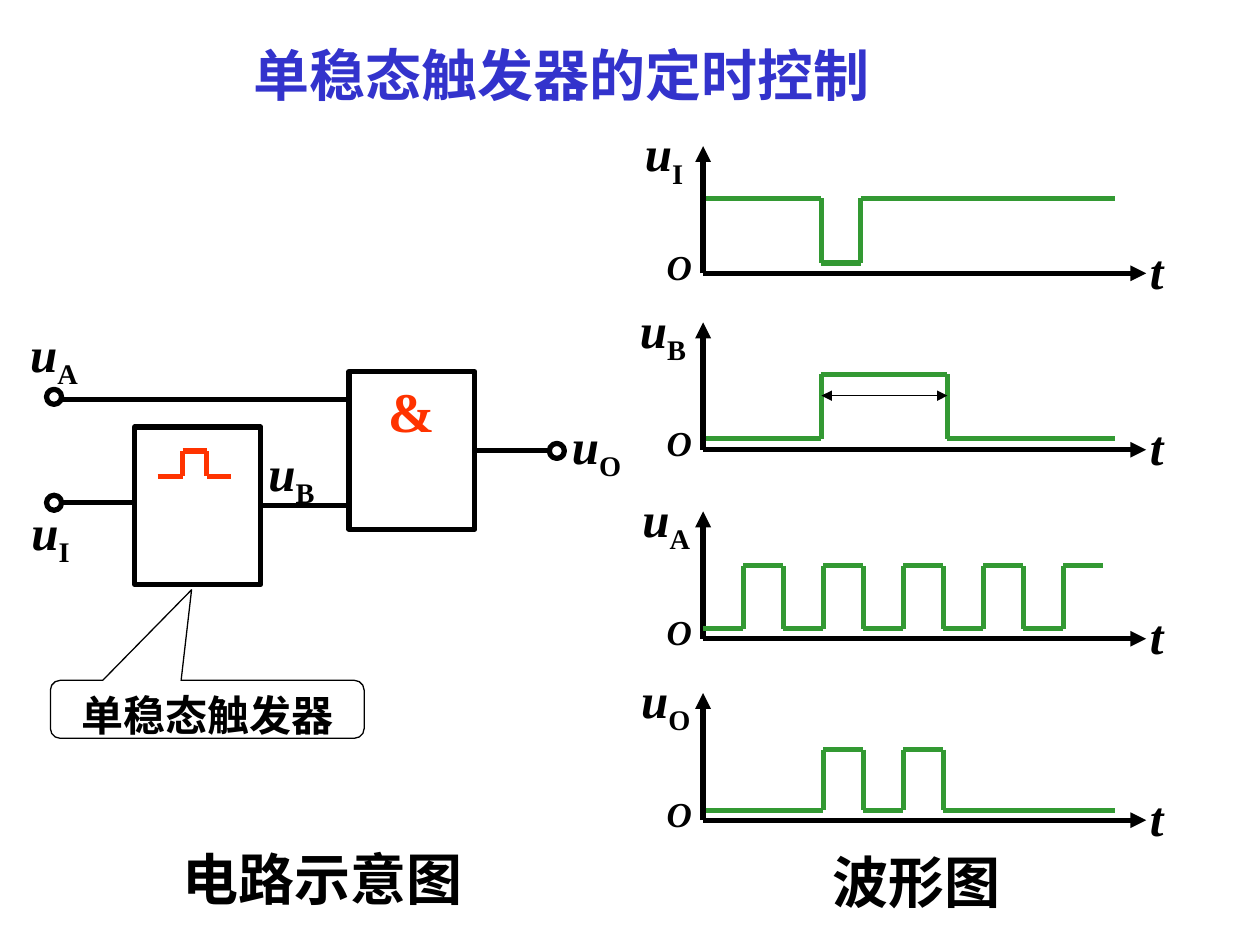
from itertools import pairwise

from lxml import etree
from pptx import Presentation
from pptx.dml.color import RGBColor
from pptx.enum import shapes, text
from pptx.oxml import ns
from pptx.util import Pt

FONT = "Times New Roman"
BLACK, WHITE, BLUE, GREEN, RED = "000000", "FFFFFF", "3333CC", "339933", "FF3300"

TITLE = ("单稳态触发器的定时控制", (126, 19.4, 390, 46))
CAPTIONS = [("电路示意图", (91.4, 478.8, 186, 46)), ("波形图", (452, 481, 144, 46))]

# Signal edges of the waveforms lie on one time grid
ORIGIN_X, START_X, END_X, AXIS_END_X = 401.8, 403.2, 637.2, 655
EDGES = [424.8 + 22.85 * i for i in range(10)]
GATE_START, TRIGGER_END, GATE_END = 469.4, 491.8, 541.4
AXIS_HEIGHT = 72.7

# subscript, label left, baseline y, first level, second level, times from start to end
PLOTS = [
    ("I", 361.4, 156.2, 113.4, 150.3, [START_X, GATE_START, TRIGGER_END, END_X]),
    ("B", 358.6, 257, 250.6, 213.8, [START_X, GATE_START, GATE_END, END_X]),
    ("A", 360, 365, 359.3, 323.3, [ORIGIN_X, *EDGES]),
    ("O", 359.3, 468.7, 463, 428.4, [START_X, *EDGES[2:6], END_X]),
]
PULSE_WIDTH_Y = 226.1

BLOCK = (77, 244, 72, 90)
GATE = (199.4, 212.4, 72, 90)
INPUT_WIRES = [((34.6, 228.4), (199.4, 228.4)), ((34.6, 287.3), (77, 287.3))]
TERMINALS = [(26.6, 222.5), (26.6, 283), (313.9, 253.4)]
TERMINAL_SIZE = 8.6
PULSE_ICON = [(90, 272.2), (104.4, 272.2), (104.4, 257.8),
              (118.2, 257.8), (118.2, 272.2), (131.8, 272.2)]
CIRCUIT_LABELS = [("A", (10.1, 181.4)), ("I", (10.8, 283)),
                  ("B", (146.2, 249.1)), ("O", (319.7, 234))]
CALLOUT = ("单稳态触发器", (28.8, 388.8, 179.3, 33.1))

prs = Presentation()
prs.slide_width, prs.slide_height = Pt(720), Pt(540)
s = prs.slides.add_slide(prs.slide_layouts[5])


def color(value):
    return RGBColor.from_string(value)


def write(sp, runs, size, fill=BLACK, align=text.PP_ALIGN.LEFT):
    """Fill a shape with one bold line; runs are (wording, italic, subscript)."""
    tf = sp.text_frame
    tf.word_wrap = True
    tf.vertical_anchor = text.MSO_ANCHOR.TOP
    p = tf.paragraphs[0]
    p.alignment = align
    for wording, italic, subscript in runs:
        r = p.add_run()
        r.text = wording
        r.font.name, r.font.size, r.font.bold = FONT, Pt(size), True
        r.font.italic = italic
        r.font.color.rgb = color(fill)
        if subscript:
            r.font._element.set("baseline", "-25000")


def label(runs, box, size, **style):
    sp = s.shapes.add_textbox(*map(Pt, box))
    write(sp, runs, size, **style)
    sp.text_frame.auto_size = text.MSO_AUTO_SIZE.SHAPE_TO_FIT_TEXT


def voltage(subscript, left, top):
    label([("u", True, False), (subscript, False, True)], (left, top, 54, 45), 28)


def line(start, end, stroke=BLACK, width=3, arrows=()):
    """Straight line; arrows holds headEnd and/or tailEnd."""
    c = s.shapes.add_connector(shapes.MSO_CONNECTOR.STRAIGHT, *map(Pt, (*start, *end)))
    c.line.color.rgb, c.line.width = color(stroke), Pt(width)
    for name in arrows:
        etree.SubElement(c.line._get_or_add_ln(), ns.qn("a:" + name), type="triangle")
    etree.SubElement(c._element.spPr, ns.qn("a:effectLst"))
    return c


def polyline(points, stroke):
    for start, end in pairwise(points):
        line(start, end, stroke)


def outline(kind, box, fill=WHITE, width=3):
    sp = s.shapes.add_shape(kind, *map(Pt, box))
    sp.shadow.inherit = False
    if fill:
        sp.fill.solid()
        sp.fill.fore_color.rgb = color(fill)
    else:
        sp.fill.background()
    sp.line.color.rgb, sp.line.width = color(BLACK), Pt(width)
    return sp


def square_wave(times, first, second):
    """Corner points of a wave that changes level at each inner time."""
    points = []
    for i, (start, end) in enumerate(pairwise(times)):
        y = second if i % 2 else first
        points += [(start, y), (end, y)]
    return points


# Title and captions
title = s.shapes.title
title.left, title.top, title.width, title.height = map(Pt, TITLE[1])
write(title, [(TITLE[0], False, False)], 32, BLUE, text.PP_ALIGN.CENTER)
for wording, box in CAPTIONS:
    label([(wording, False, False)], box, 32, align=text.PP_ALIGN.CENTER)

# Waveforms
for subscript, left, base, first, second, times in PLOTS:
    line((ORIGIN_X, base), (AXIS_END_X, base), arrows=["tailEnd"])
    line((ORIGIN_X, base), (ORIGIN_X, base - AXIS_HEIGHT), arrows=["tailEnd"])
    polyline(square_wave(times, first, second), GREEN)
    voltage(subscript, left, base - 89.5)
    label([("t", True, False)], (650, base - 22.5, 34, 41), 28)
    label([("O", True, False)], (373.8, base - 19.5, 54, 32), 20)
line((GATE_START, PULSE_WIDTH_Y), (GATE_END, PULSE_WIDTH_Y), width=0.75,
     arrows=["headEnd", "tailEnd"])

# Circuit
block = outline(shapes.MSO_SHAPE.RECTANGLE, BLOCK)
gate = outline(shapes.MSO_SHAPE.RECTANGLE, GATE)
for start, end in INPUT_WIRES:
    line(start, end)
for source, end in [(block, (199.4, 289)), (gate, (313.9, 257.4))]:
    line(end, end).begin_connect(source, 3)
for left, top in TERMINALS:
    outline(shapes.MSO_SHAPE.OVAL, (left, top, TERMINAL_SIZE, TERMINAL_SIZE))
polyline(PULSE_ICON, RED)
label([("&", False, False)], (214.6, 211.7, 42, 46), 32, fill=RED)
for subscript, place in CIRCUIT_LABELS:
    voltage(subscript, *place)

callout = outline(shapes.MSO_SHAPE.ROUNDED_RECTANGULAR_CALLOUT, CALLOUT[1], None, 0.75)
for i, value in enumerate((-0.05, -2.064, 0.167)):
    callout.adjustments[i] = value
write(callout, [(CALLOUT[0], False, False)], 24, align=text.PP_ALIGN.CENTER)

prs.save("out.pptx")
